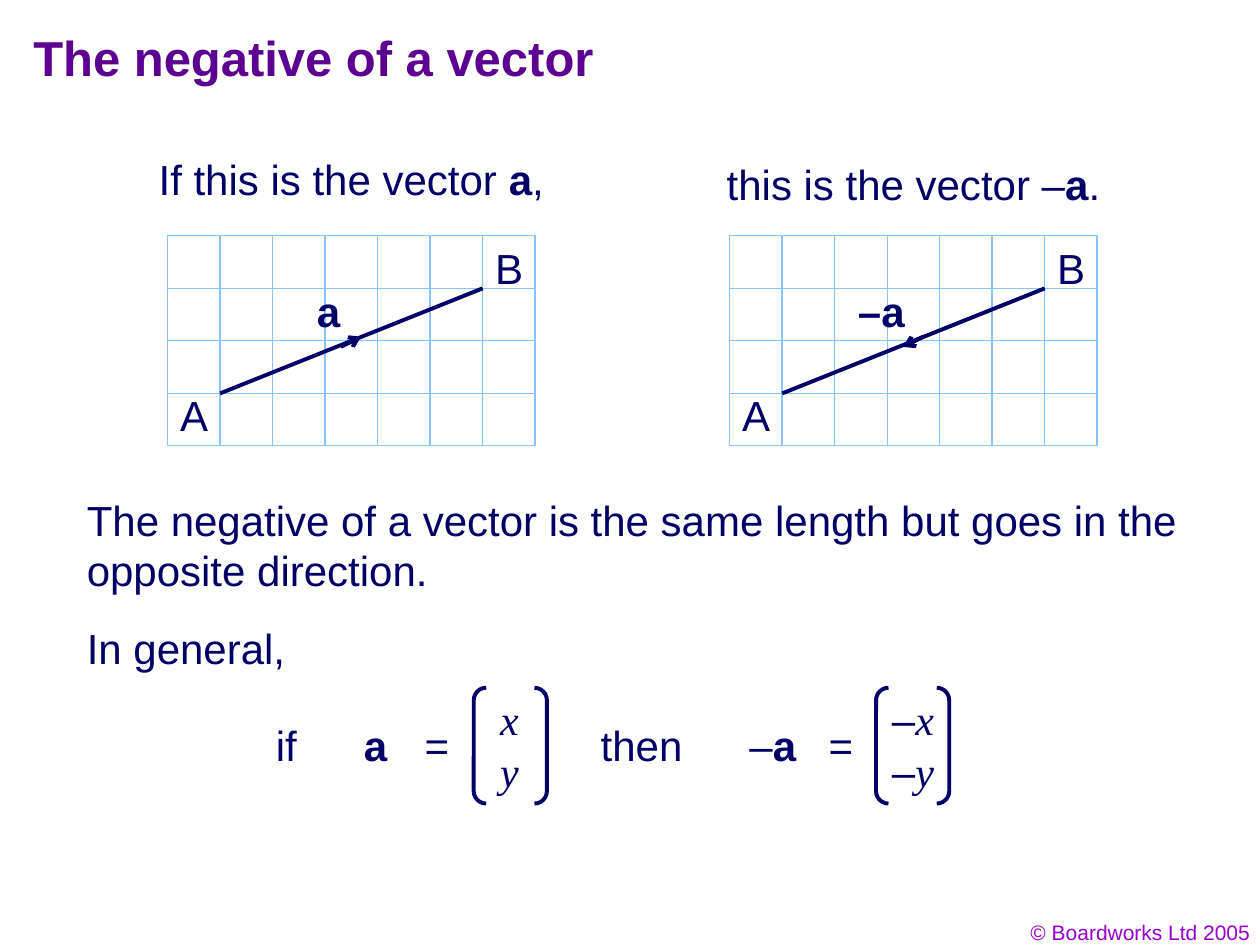
from itertools import product

from pptx import Presentation
from pptx.dml.color import RGBColor
from pptx.enum.shapes import MSO_CONNECTOR, MSO_SHAPE
from pptx.enum.text import MSO_AUTO_SIZE, PP_ALIGN
from pptx.oxml.ns import qn
from pptx.util import Pt
from lxml.etree import SubElement

INK, EDGE, GRID = "010066", "000066", "89C4FF"
CELL, COLS, ROWS = 30, 7, 4


def paint(hue):
    """Turn a hex string into a colour."""
    return RGBColor.from_string(hue)


def write(slide, box, runs, size=24, hue=INK, align=PP_ALIGN.LEFT, wrap=False):
    """Place text made of (words, style) runs, with b, i and t as styles."""
    frame = slide.shapes.add_textbox(*map(Pt, box)).text_frame
    frame.word_wrap = wrap
    if not wrap:
        frame.auto_size = MSO_AUTO_SIZE.SHAPE_TO_FIT_TEXT
    para = frame.paragraphs[0]
    para.alignment = align
    para.line_spacing = Pt(size * 1.2)
    for words, style in runs:
        run = para.add_run()
        run.text = words
        font = run.font
        font.name = "Times New Roman" if "t" in style else "Arial"
        font.size = Pt(size)
        font.bold = "b" in style
        font.italic = "i" in style
        font.color.rgb = paint(hue)


def draw(slide, start, end, head=False):
    """Draw a line, with an arrowhead at its end if asked."""
    line = slide.shapes.add_connector(
        MSO_CONNECTOR.STRAIGHT, *map(Pt, (*start, *end)))
    line.line.color.rgb = paint(EDGE)
    line.line.width = Pt(2.25)
    props = line._element.spPr
    if head:
        SubElement(props.find(qn("a:ln")), qn("a:tailEnd"), type="arrow")
    SubElement(props, qn("a:effectLst"))


def panel(slide, x, y, lead, lead_box, name, name_box, back=False):
    """Draw a captioned grid with the vector between A and B."""
    for row, col in product(range(ROWS), range(COLS)):
        cell = slide.shapes.add_shape(
            MSO_SHAPE.RECTANGLE, Pt(x + col * CELL), Pt(y + row * CELL),
            Pt(CELL), Pt(CELL))
        cell.shadow.inherit = False
        cell.fill.solid()
        cell.fill.fore_color.rgb = paint("FFFFFF")
        cell.line.color.rgb = paint(GRID)
        cell.line.width = Pt(0.75)
    ends = [(x + CELL, y + 3 * CELL), (x + 6 * CELL, y + CELL)]
    mid = [(x + 99, y + 63.4), (x + 110.6, y + 57.6)]
    step = -1 if back else 1
    draw(slide, *ends[::step])
    draw(slide, *mid[::step], head=True)
    labels = [
        (name_box, [(name, "b")]),
        ((0, 84.4, 30.6, 36), [("A", "")]),
        ((6 * CELL, 0, 30.6, 36), [("B", "")]),
        (lead_box, lead),
    ]
    for (left, top, wide, high), runs in labels:
        write(slide, (x + left, y + top, wide, high), runs)


def column(slide, x, y, word, parts, pair, sign, term):
    """Set a word, a vector, an equals sign and a bracketed column."""
    for left, wide, runs in [(0, word[1], [(word[0], "")]), *parts]:
        write(slide, (x + left, y + 14.8, wide, 36), runs)
    shape = slide.shapes.add_shape(
        MSO_SHAPE.DOUBLE_BRACKET, Pt(x + pair), Pt(y), Pt(41.8), Pt(66.2))
    shape.adjustments[0] = 0.17
    shape.shadow.inherit = False
    shape.fill.background()
    shape.line.color.rgb = paint(EDGE)
    shape.line.width = Pt(2.25)
    left, wide = term
    for row, name in enumerate("xy"):
        runs = [(sign, "")] if sign else []
        write(slide, (x + left, y + row * 29.6, wide, 36), [*runs, (name, "it")])


def main():
    """Build the slide and save it."""
    deck = Presentation()
    deck.slide_width, deck.slide_height = Pt(720), Pt(540)
    slide = deck.slides.add_slide(deck.slide_layouts[6])
    write(slide, (553.7, 522, 167.8, 21.6), [("© Boardworks Ltd 2005", "")],
          12, "9900CC", PP_ALIGN.RIGHT, True)
    write(slide, (12, 12, 612, 48), [("The negative of a vector", "b")],
          28, "5B0091", wrap=True)
    panel(slide, 95.8, 134.8,
          [("If this is the vector ", ""), ("a", "b"), (",", "")],
          (-12.2, -50.6, 236, 36), "a", (78.2, 24.6, 28, 36))
    panel(slide, 417, 134.8,
          [("this is the vector –", ""), ("a", "b"), (".", "")],
          (-8.8, -47.6, 230, 36), "–a", (66.2, 24.6, 41.6, 36), True)
    write(slide, (42.5, 278.8, 653.8, 64.8),
          [("The negative of a vector is the same length but goes in the "
            "opposite direction.", "")], wrap=True)
    write(slide, (42.5, 352, 653.8, 36), [("In general,", "")], wrap=True)
    column(slide, 150.5, 393, ("if", 27),
           [(50.4, 28, [("a", "b")]), (85, 28.6, [("=", "")])],
           120.2, "", (128.2, 25.4))
    column(slide, 336.2, 393, ("then", 62),
           [(85, 41.6, [("–", ""), ("a", "b")]), (130.2, 28.6, [("=", "")])],
           164.4, "–", (166.4, 38.6))
    deck.save("out.pptx")


if __name__ == "__main__":
    main()
